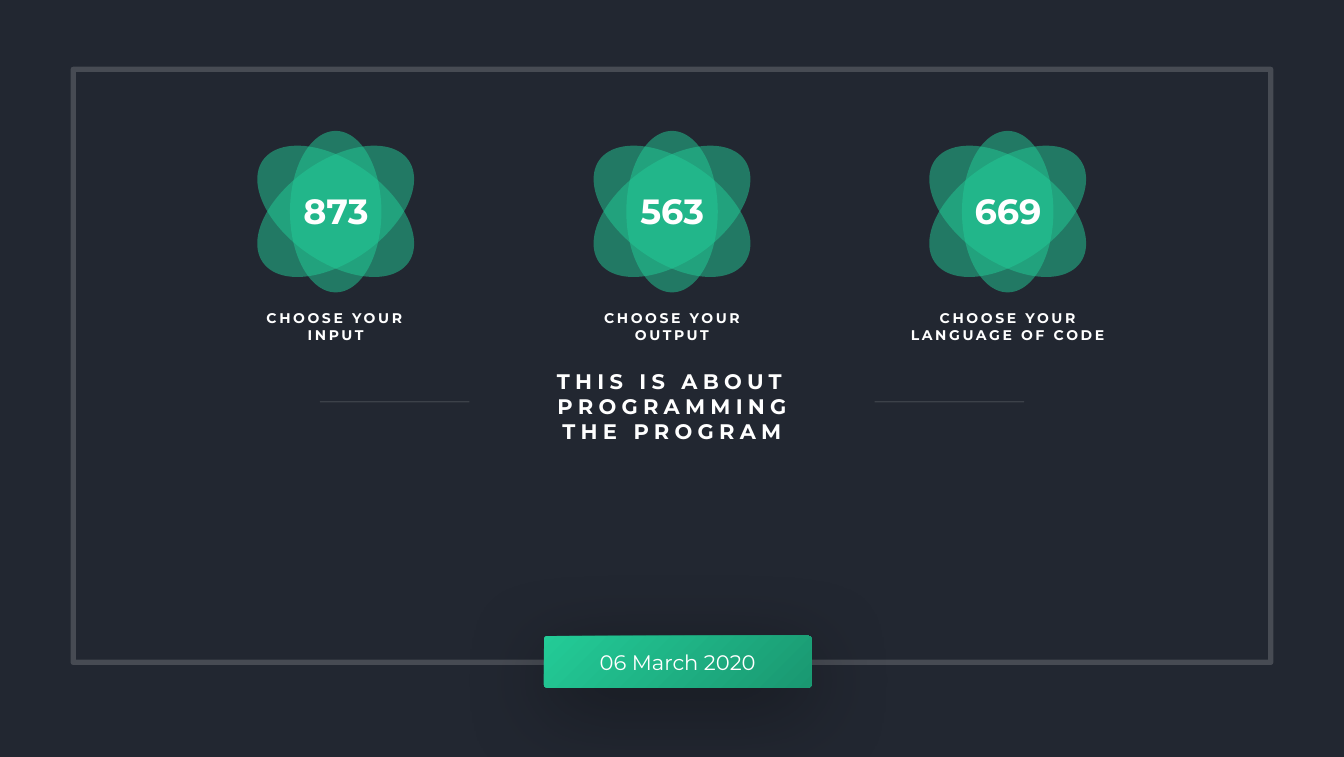
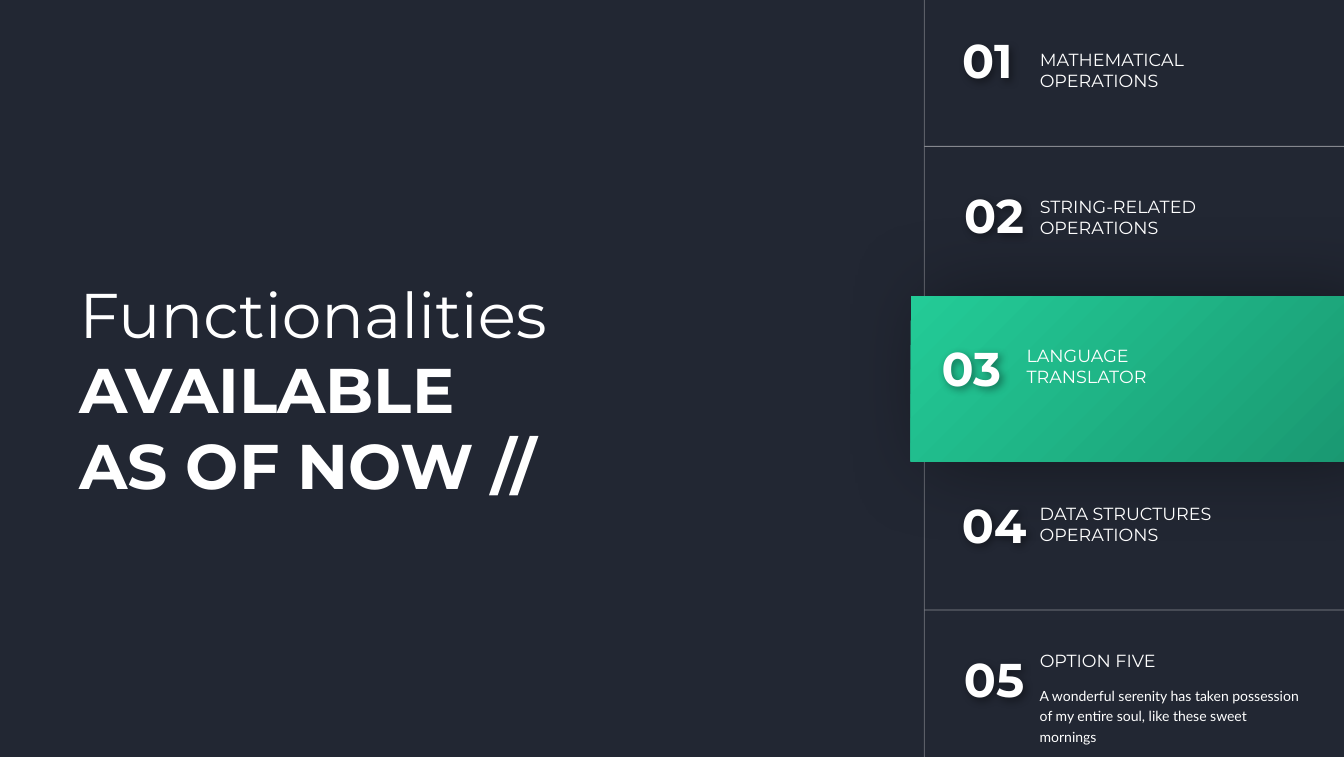
"""Build two dark slides: program overview and available functionalities."""
from lxml import etree
from pptx import Presentation
from pptx.dml.color import RGBColor
from pptx.enum.shapes import MSO_CONNECTOR, MSO_SHAPE
from pptx.enum.text import MSO_ANCHOR, MSO_AUTO_SIZE, PP_ALIGN
from pptx.oxml.ns import qn
from pptx.util import Pt

RECT, ROUND, OVAL = MSO_SHAPE.RECTANGLE, MSO_SHAPE.ROUNDED_RECTANGLE, MSO_SHAPE.OVAL
STRAIGHT = MSO_CONNECTOR.STRAIGHT
LEFT, CENTER = PP_ALIGN.LEFT, PP_ALIGN.CENTER
MIDDLE, GROW = MSO_ANCHOR.MIDDLE, MSO_AUTO_SIZE.SHAPE_TO_FIT_TEXT
PX = 9144
W, H = 2130, 1200
WHITE, BLACK, BASE, NAVY = "FFFFFF", "000000", "262626", "212837"
GREEN, DEEP_GREEN = "23CB97", "1A9871"
HEAD, BODY = "Montserrat", "Lato"
NUMBER_SHADOW = (10, 4, 45)
rgb = RGBColor.from_string


def shape(sl, kind, box, fill=None, line=None, weight=1, alpha=100, shadow=None, angle=0):
    x, y, w, h = (v * PX for v in box)
    if kind is STRAIGHT:
        sp = sl.shapes.add_connector(kind, x, y, x + w, y + h)
    elif kind is None:
        sp = sl.shapes.add_textbox(x, y, w, h)
    else:
        sp = sl.shapes.add_shape(kind, x, y, w, h)
        sp.rotation = angle
        if isinstance(fill, tuple):
            sp.fill.gradient()
            sp.fill.gradient_angle = 315
            for stop, color in zip(sp.fill.gradient_stops, fill):
                stop.color.rgb = rgb(color)
        elif fill:
            sp.fill.solid()
            sp.fill.fore_color.rgb = rgb(fill)
        else:
            sp.fill.background()
        sp.line.fill.background()
    if line:
        sp.line.color.rgb = rgb(line)
        sp.line.width = Pt(weight)
    spPr = sp.element.spPr
    if alpha < 100:
        for color in spPr.iter(qn("a:srgbClr")):
            etree.SubElement(color, qn("a:alpha"), val=str(alpha * 1000))
    effects = etree.SubElement(spPr, qn("a:effectLst"))
    if shadow:
        blur, dist, direction = shadow
        outer = etree.SubElement(effects, qn("a:outerShdw"), blurRad=str(blur * 12700),
                                 dist=str(dist * 12700), dir=str(direction * 60000),
                                 algn="ctr", rotWithShape="0")
        color = etree.SubElement(outer, qn("a:srgbClr"), val=BLACK)
        etree.SubElement(color, qn("a:alpha"), val="40000")
    return sp


def text(sp, content, size=20, font=HEAD, bold=False, light=0, align=LEFT, spc=0,
         spacing=None, anchor=None):
    tf = sp.text_frame
    tf.word_wrap = True
    if anchor is not None:
        tf.vertical_anchor = anchor
    else:
        tf.auto_size = GROW
    for i, line in enumerate(content.split("\n")):
        p = tf.add_paragraph() if i else tf.paragraphs[0]
        p.alignment = align
        if spacing:
            p.line_spacing = spacing
        r = p.add_run()
        r.text = line
        r.font.name, r.font.size = font, Pt(size)
        r.font.bold = bold and i >= light
        r.font.color.rgb = rgb(WHITE)
        if spc:
            r.font._element.set("spc", str(spc * 100))


prs = Presentation()
prs.slide_width, prs.slide_height = W * PX, H * PX
slides = []
for overlay in (70, 77):
    sl = prs.slides.add_slide(prs.slide_layouts[6])
    sl.background.fill.solid()
    sl.background.fill.fore_color.rgb = rgb(BASE)
    shape(sl, RECT, (0, 0, W, H), fill=NAVY, alpha=overlay)
    slides.append(sl)
overview, functions = slides

shape(overview, RECT, (116, 110, 1898, 940), line=WHITE, weight=6, alpha=17)
date = shape(overview, ROUND, (862, 1008, 424, 82), fill=(GREEN, DEEP_GREEN),
             shadow=(100, 21, 90))
date.adjustments[0] = 0.06
text(date, "06 March 2020", size=24, align=CENTER, anchor=MIDDLE)
text(shape(overview, None, (766, 579, 598, 131)), "THIS IS ABOUT PROGRAMMING\nTHE PROGRAM",
     size=24, bold=True, align=CENTER, spc=6)
for x in (507, 1386):
    shape(overview, STRAIGHT, (x, 637, 237, 0), line=WHITE, weight=0.5, alpha=35)

steps = [
    ("873", "CHOOSE YOUR INPUT", 270),
    ("563", "CHOOSE YOUR\nOUTPUT", 270),
    ("669", "CHOOSE YOUR\nLANGUAGE OF CODE", 364),
]
petals = [(282, 160, 35), (256, 145, 90), (282, 160, 325)]
for i, (number, caption, width) in enumerate(steps, 1):
    cx, cy = W * i // 4, 335
    text(shape(overview, None, (cx - width // 2, 486, width, 64)), caption,
         size=16, bold=True, align=CENTER, spc=3)
    for w, h, angle in petals:
        shape(overview, OVAL, (cx - w // 2, cy - h // 2, w, h), fill=GREEN, alpha=50,
              angle=angle)
    text(shape(overview, None, (cx - 90, 296, 181, 77)), number,
         size=40, bold=True, align=CENTER)

for row in (0, 1, 3, 4):
    shape(functions, RECT, (1465, -13 + 245 * row, 666, 245), line=WHITE, alpha=25)
shape(functions, RECT, (1443, 470, 708, 261), fill=(GREEN, DEEP_GREEN), shadow=(100, 21, 0))
text(shape(functions, None, (116, 431, 1042, 374)), "Functionalities\nAVAILABLE\nAS OF NOW //",
     size=72, bold=True, light=1)

options = [
    ("MATHEMATICAL OPERATIONS", (1638, 72, 265, 77), (1513, 45, 104, 101)),
    ("STRING-RELATED OPERATIONS", (1638, 305, 295, 77), (1513, 290, 125, 101)),
    ("LANGUAGE TRANSLATOR", (1617, 542, 265, 77), (1477, 532, 125, 101)),
    ("DATA STRUCTURES OPERATIONS", (1638, 793, 307, 77), (1513, 781, 125, 101)),
    ("OPTION FIVE", (1638, 1026, 265, 44), (1513, 1026, 125, 101)),
]
for i, (label, label_box, number_box) in enumerate(options, 1):
    text(shape(functions, None, label_box), label)
    text(shape(functions, None, number_box, shadow=NUMBER_SHADOW), f"{i:02}",
         size=54, bold=True, align=CENTER)
text(shape(functions, None, (1638, 1080, 443, 75)),
     "A wonderful serenity has taken possession of my entire soul, like these sweet mornings",
     size=16, font=BODY, spacing=1.2)

prs.save("out.pptx")
